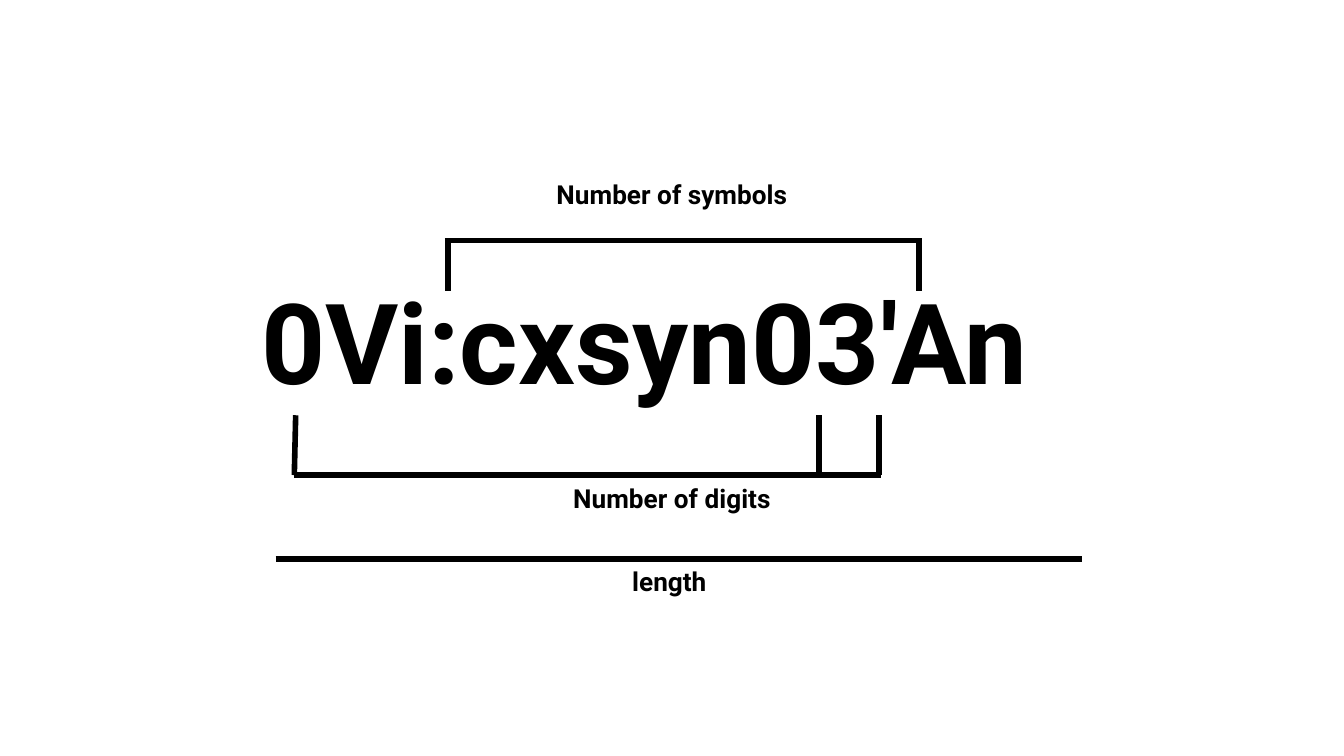
import pptx
import pptx.dml.color
import pptx.enum.shapes
import pptx.enum.text
import pptx.oxml.ns
import pptx.util
from lxml import etree

COLORS = {"ink": "000000", "paper": "FFFFFF"}
WIDTH = 10
HEIGHT = WIDTH * 9 / 16
CELL = WIDTH / 100
FONT = {"name": "Roboto", "bold": True}
SYMBOL_COLS = (33.35, 68.4)
DIGIT_COLS = ((21.9, 22), (60.95, 60.95), (65.4, 65.4))


def grid(n):
    """Turn a count of grid columns or rows into a length."""
    return pptx.util.Inches(n * CELL)


def color(name):
    """Look up a named colour."""
    return pptx.dml.color.RGBColor.from_string(COLORS[name])


def add_label(s, text, box, size, align="LEFT", wrap=False):
    """Add bold text in a box given as column, row, columns and rows."""
    tf = s.shapes.add_textbox(*map(grid, box)).text_frame
    tf.word_wrap = wrap
    tf.auto_size = pptx.enum.text.MSO_AUTO_SIZE.SHAPE_TO_FIT_TEXT
    p = tf.paragraphs[0]
    p.alignment = pptx.enum.text.PP_ALIGN[align]
    r = p.add_run()
    r.text = text
    for key, value in {**FONT, "size": pptx.util.Pt(size)}.items():
        setattr(r.font, key, value)
    r.font.color.rgb = color("ink")


def add_line(s, start, end):
    """Add a heavy straight line between two grid points."""
    line = s.shapes.add_connector(
        pptx.enum.shapes.MSO_CONNECTOR.STRAIGHT, *map(grid, start + end)
    )
    line.line.color.rgb = color("ink")
    line.line.width = pptx.util.Pt(3)
    etree.SubElement(line._element.spPr, pptx.oxml.ns.qn("a:effectLst"))


def add_bracket(s, ticks, bar, bar_row, tip_row):
    """Add a bar with ticks, each given as its column at the bar and tip."""
    for base, tip in ticks:
        add_line(s, (base, bar_row), (tip, tip_row))
    add_line(s, (bar[0], bar_row), (bar[1], bar_row))


def main():
    """Build the slide on password features."""
    prs = pptx.Presentation()
    prs.slide_width = pptx.util.Inches(WIDTH)
    prs.slide_height = pptx.util.Inches(HEIGHT)
    s = prs.slides.add_slide(prs.slide_layouts[6])
    s.background.fill.solid()
    s.background.fill.fore_color.rgb = color("paper")

    add_label(s, "0Vi:cxsyn03'An", (18.45, 19.8, 63.1, 11.1), 60, wrap=True)
    add_line(s, (20.5, 41.6), (80.5, 41.6))
    add_label(s, "length", (46.05, 41.6, 7.9, 3.4), 14)
    add_bracket(s, [(c, c) for c in SYMBOL_COLS], (33.1, 68.6), 17.9, 21.65)
    add_label(s, "Number of symbols", (39.8, 12.75, 20.4, 3.4), 14, "CENTER")
    add_bracket(s, DIGIT_COLS, (21.9, 65.55), 35.35, 30.9)
    add_label(s, "Number of digits", (41.2, 35.4, 17.6, 3.4), 14, "CENTER")

    prs.save("out.pptx")


if __name__ == "__main__":
    main()
